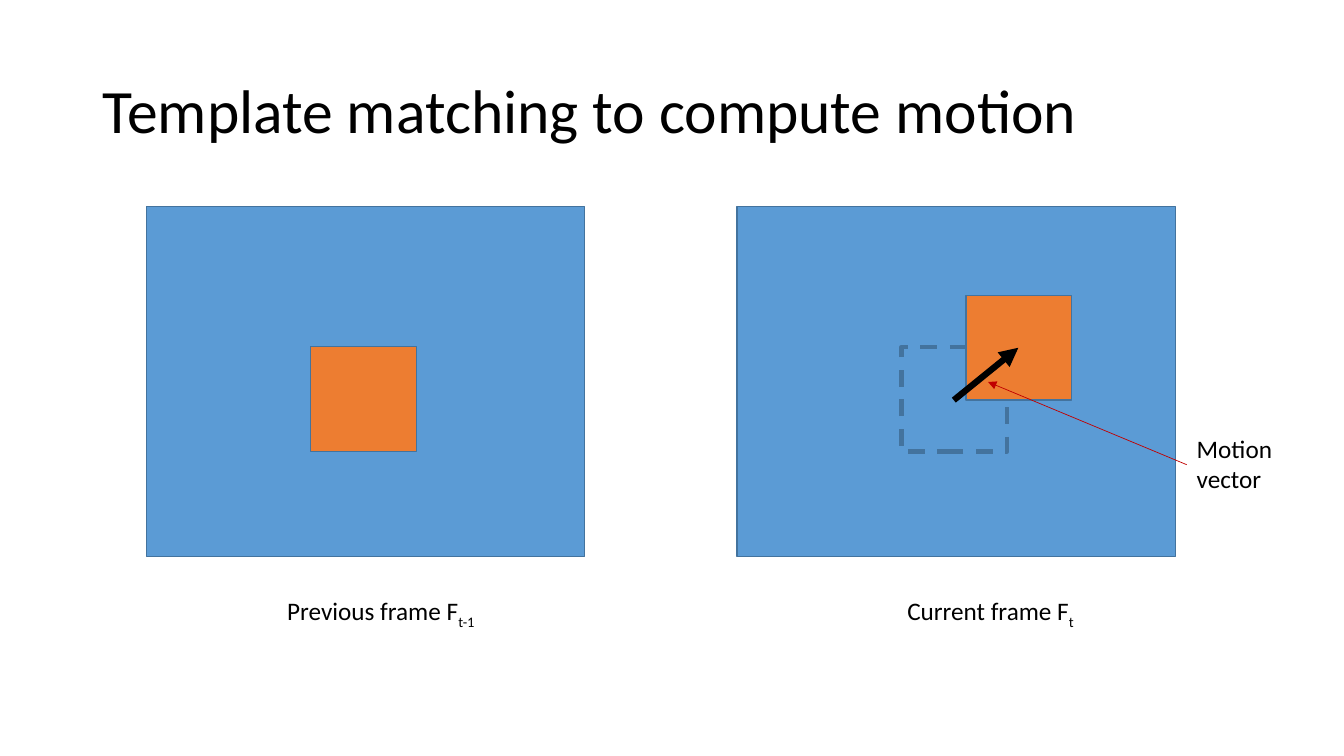
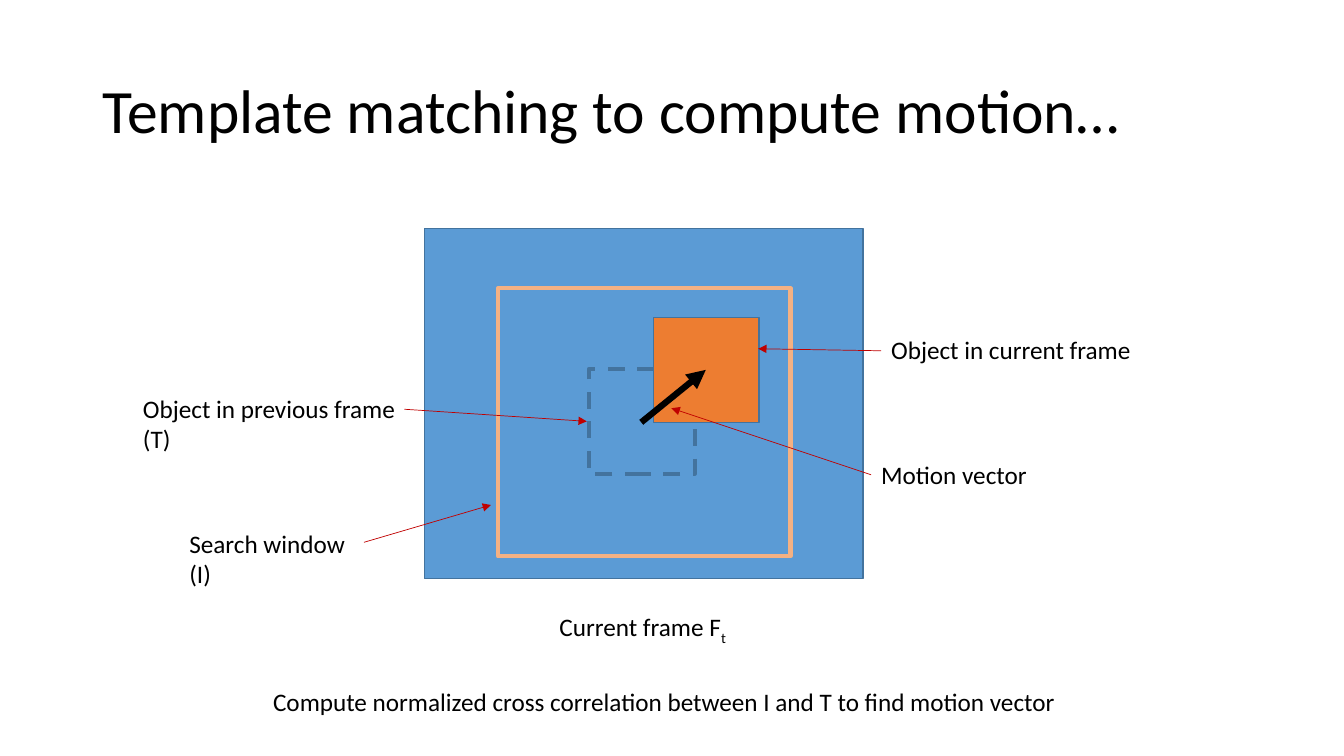
from lxml.etree import SubElement
from pptx import Presentation
from pptx.dml.color import RGBColor
from pptx.enum.dml import MSO_LINE_DASH_STYLE as DASH
from pptx.enum.shapes import MSO_CONNECTOR, MSO_SHAPE
from pptx.enum.text import MSO_ANCHOR, MSO_AUTO_SIZE
from pptx.oxml.ns import qn
from pptx.util import Emu, Pt

PX = 9144
BLUE, ORANGE, PEACH = "5B9BD5", "ED7D31", "F4B183"
EDGE, BLACK, RED = "43739E", "000000", "C00000"
FRAME_W, FRAME_H = 435, 347
OBJECT_W, OBJECT_H = 105, 104
TITLE_BOX = (92, 40, 1150, 145)

rgb = RGBColor.from_string


def px(*lengths):
    return [Emu(n * PX) for n in lengths]


def add_text(slide, text, box, size=18, wrap=False, anchor=MSO_ANCHOR.TOP,
             spacing=1.0, fit=MSO_AUTO_SIZE.SHAPE_TO_FIT_TEXT):
    tf = slide.shapes.add_textbox(*px(*box)).text_frame
    tf.word_wrap, tf.auto_size, tf.vertical_anchor = wrap, fit, anchor
    for i, line in enumerate(text.split("\n")):
        p = tf.paragraphs[0] if i == 0 else tf.add_paragraph()
        p.line_spacing = spacing
        for j, part in enumerate(line.split("_")):
            r = p.add_run()
            r.text = part
            r.font.name, r.font.size = "Calibri", Pt(size)
            r.font.color.rgb = rgb(BLACK)
            if j:
                r.font._element.set("baseline", "-25000")


slides = [
    {
        "title": "Template matching to compute motion",
        "current": (731, 205),
        "boxes": [
            (145, 205, FRAME_W, FRAME_H, BLUE, EDGE, 1),
            (308, 344, OBJECT_W, OBJECT_H, ORANGE, EDGE, 1),
        ],
        "pointers": [(1177, 461, 980, 379)],
        "labels": [
            ("Previous frame F_t-1", (275, 586, 211, 40), False),
            ("Current frame F_t", (890, 586, 188, 40), False),
            ("Motion vector", (1177, 425, 132, 71), True),
        ],
    },
    {
        "title": "Template matching to compute motion…",
        "current": (421, 227),
        "boxes": [(494, 286, 290, 266, None, PEACH, 3)],
        "pointers": [
            (361, 538, 487, 501),
            (864, 471, 666, 405),
            (401, 406, 582, 418),
            (874, 348, 752, 346),
        ],
        "labels": [
            ("Search window\n(I)", (178, 519, 176, 71), False),
            ("Motion vector", (864, 451, 166, 40), False),
            ("Object in previous frame (T)", (132, 385, 276, 71), True),
            ("Object in current frame", (874, 327, 276, 40), True),
            ("Current frame F_t", (545, 602, 188, 40), False),
            ("Compute normalized cross correlation between I and T to find motion vector",
             (261, 676, 811, 40), False),
        ],
    },
]

prs = Presentation()
prs.slide_width, prs.slide_height = px(1333, 750)

for content in slides:
    slide = prs.slides.add_slide(prs.slide_layouts[6])
    add_text(slide, content["title"], TITLE_BOX, size=44, wrap=True,
             anchor=MSO_ANCHOR.MIDDLE, spacing=0.9, fit=MSO_AUTO_SIZE.NONE)

    x, y = content["current"]
    current_boxes = [
        (x, y, FRAME_W, FRAME_H, BLUE, EDGE, 1),
        (x + 163, y + 139, OBJECT_W, OBJECT_H, BLUE, EDGE, 3),
        (x + 227, y + 88, OBJECT_W, OBJECT_H, ORANGE, EDGE, 1),
    ]
    for *box, fill, edge, weight in current_boxes + content["boxes"]:
        sp = slide.shapes.add_shape(MSO_SHAPE.RECTANGLE, *px(*box))
        sp.shadow.inherit = False
        if fill:
            sp.fill.solid()
            sp.fill.fore_color.rgb = rgb(fill)
        else:
            sp.fill.background()
        sp.line.color.rgb, sp.line.width = rgb(edge), Pt(weight)
        if fill == BLUE and weight == 3:
            sp.line.dash_style = DASH.DASH

    arrows = [(x + 215, y + 192, x + 279, y + 140, BLACK, 4.5)]
    arrows += [(*ends, RED, 0.5) for ends in content["pointers"]]
    for *ends, color, weight in arrows:
        line = slide.shapes.add_connector(MSO_CONNECTOR.STRAIGHT, *px(*ends))
        line.line.color.rgb, line.line.width = rgb(color), Pt(weight)
        SubElement(line.line._get_or_add_ln(), qn("a:tailEnd"), type="triangle")
        SubElement(line._element.spPr, qn("a:effectLst"))

    for text, box, wrap in content["labels"]:
        add_text(slide, text, box, wrap=wrap)

prs.save("out.pptx")
